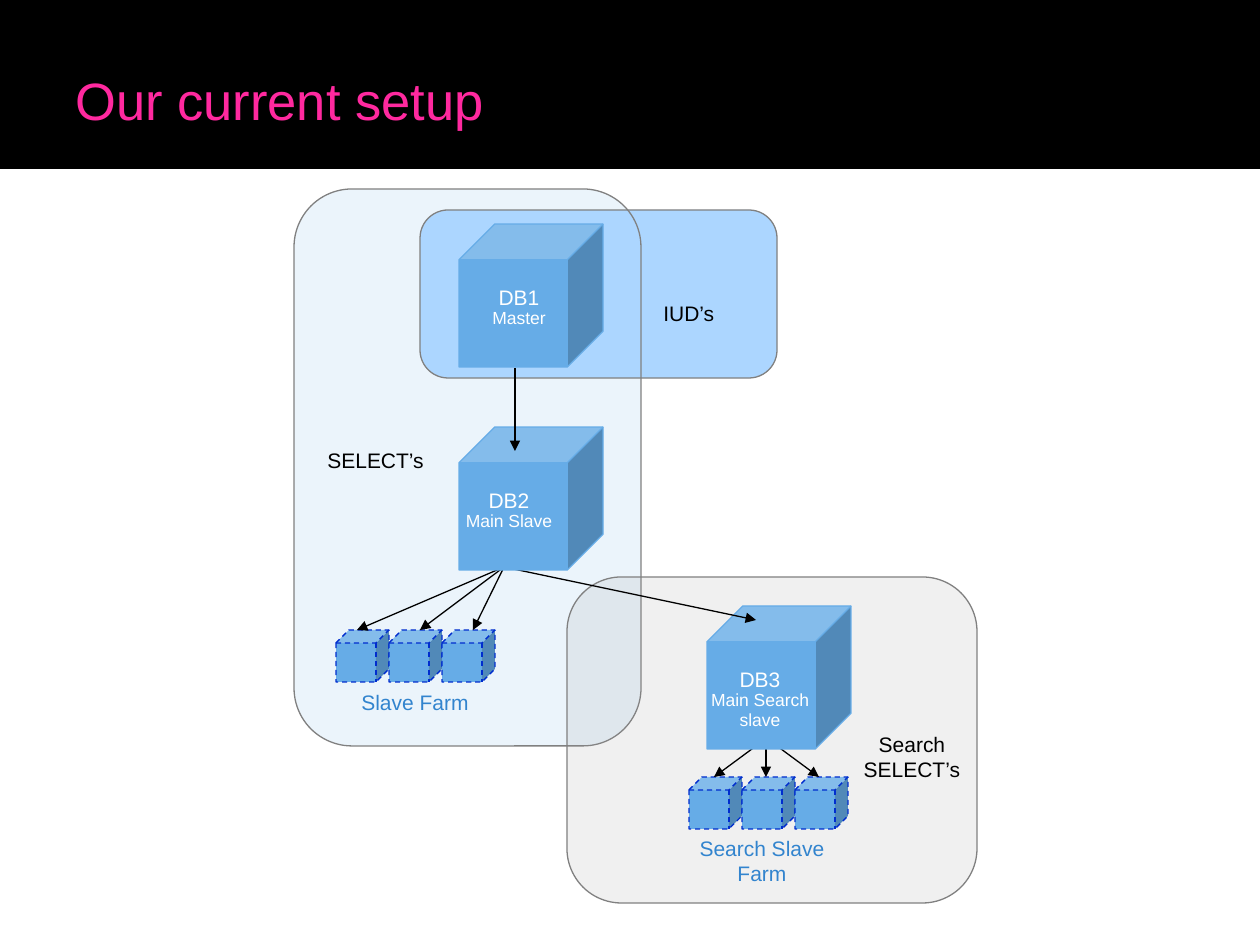
"""Build a slide showing a database replication setup."""
from lxml import etree
from pptx import Presentation
from pptx.dml.color import RGBColor
from pptx.enum.dml import MSO_LINE
from pptx.enum.shapes import MSO_CONNECTOR, MSO_SHAPE
from pptx.enum.text import MSO_ANCHOR, MSO_AUTO_SIZE, PP_ALIGN
from pptx.oxml.ns import qn
from pptx.util import Inches, Pt

RECT, ROUND, CUBE = MSO_SHAPE.RECTANGLE, MSO_SHAPE.ROUNDED_RECTANGLE, MSO_SHAPE.CUBE
STRAIGHT, DASH = MSO_CONNECTOR.STRAIGHT, MSO_LINE.DASH
LEFT, CENTER = PP_ALIGN.LEFT, PP_ALIGN.CENTER
MIDDLE, TOP = MSO_ANCHOR.MIDDLE, MSO_ANCHOR.TOP
GROW, FIXED = MSO_AUTO_SIZE.SHAPE_TO_FIT_TEXT, MSO_AUTO_SIZE.NONE

SCALE = Inches(1) / 126
FONT = "Arial"
COLORS = {
    "black": "000000", "white": "FFFFFF", "pink": "FF299F", "cube": "66ACE7",
    "dash": "002DCE", "farm": "3284CE", "writes": "ACD6FF", "gray": "999999",
    "border": "808080",
}

BAND = (0, 0, 1260, 168)
TITLE = ("Our current setup", (63, 21, 1134, 158))
SELECT_AREA = (294, 189, 347, 557)
WRITE_AREA = (420, 210, 357, 168)
SEARCH_AREA = (567, 577, 410, 326)
CUBE_SIZE = (144, 143)
MINI_SIZE, MINI_STEP, MINI_COUNT = (53, 52), 53, 3

DB1 = ((459, 224), ["DB1", "Master"], (451, 291, 136, 43))
DB2 = ((459, 427), ["DB2", "Main Slave"], (441, 494, 136, 43))
DB3 = ((707, 606), ["DB3", "Main Search", "slave"], (693, 673, 134, 62))
SLAVE_FARM = ((336, 630), "Slave Farm", (336, 683, 158, 38))
SEARCH_FARM = ((689, 777), "Search Slave Farm", (683, 829, 158, 63))
LABELS = [
    (["IUD’s"], (651, 294, 77, 38), LEFT),
    (["SELECT’s"], (315, 441, 122, 38), LEFT),
    (["Search", "SELECT’s"], (851, 725, 122, 63), CENTER),
]
DB2_FOOT = (504, 567)
SLAVE_ARROWS = [(DB2_FOOT, (x, 630)) for x in (357, 420, 473)]
SEARCH_ARROWS = [((756, 746), (714, 777)), ((766, 746), (766, 777)), ((777, 746), (819, 777))]
DB3_ARROW = (DB2_FOOT, (756, 620))
DB2_ARROW = ((515, 368), (515, 451))


def emu(values):
    return [round(v * SCALE) for v in values]


def rgb(name):
    return RGBColor.from_string(COLORS[name])


def add_box(s, kind, box, fill=None, line=None, opacity=100, adj=None, dash=None):
    sp = s.shapes.add_shape(kind, *emu(box))
    sp.shadow.inherit = False
    if adj is not None:
        sp.adjustments[0] = adj
    if fill:
        sp.fill.solid()
        sp.fill.fore_color.rgb = rgb(fill)
        if opacity < 100:
            clr = sp._element.spPr.find(qn("a:solidFill"))[0]
            etree.SubElement(clr, qn("a:alpha")).set("val", str(opacity * 1000))
    else:
        sp.fill.background()
    if line:
        sp.line.color.rgb = rgb(line)
        sp.line.width = Pt(0.75)
        if dash:
            sp.line.dash_style = dash
    else:
        sp.line.fill.background()


def add_text(s, lines, box, color, sizes=(12,), align=CENTER, wrap=True,
             anchor=TOP, fit=GROW, tight=False):
    tf = s.shapes.add_textbox(*emu(box)).text_frame
    tf.word_wrap, tf.auto_size, tf.vertical_anchor = wrap, fit, anchor
    for i, line in enumerate(lines):
        p = tf.paragraphs[0] if i == 0 else tf.add_paragraph()
        size = sizes[min(i, len(sizes) - 1)]
        p.text, p.alignment = line, align
        p.font.name, p.font.size, p.font.color.rgb = FONT, Pt(size), rgb(color)
        if tight:
            p.line_spacing = 0.4
            p.space_before = Pt(round(size * 0.625, 1))


def add_database(s, corner, lines, text_box):
    add_box(s, CUBE, corner + CUBE_SIZE, "cube", "cube", adj=0.25)
    add_text(s, lines, text_box, "white", sizes=(12, 10), tight=True)


def add_farm(s, corner, name, text_box):
    x, y = corner
    for i in range(MINI_COUNT):
        add_box(s, CUBE, (x + i * MINI_STEP, y) + MINI_SIZE, "cube", "dash", adj=0.25, dash=DASH)
    add_text(s, [name], text_box, "farm")


def add_arrow(s, start, end):
    c = s.shapes.add_connector(STRAIGHT, *emu(start + end))
    c.line.color.rgb = rgb("black")
    c.line.width = Pt(0.75)
    etree.SubElement(c.line._get_or_add_ln(), qn("a:tailEnd")).set("type", "triangle")
    etree.SubElement(c._element.spPr, qn("a:effectLst"))


def main():
    prs = Presentation()
    prs.slide_width, prs.slide_height = Inches(10), Inches(7.5)
    s = prs.slides.add_slide(prs.slide_layouts[6])

    add_box(s, RECT, BAND, "black", "black")
    add_box(s, ROUND, SELECT_AREA, "cube", opacity=13, adj=0.167)
    add_text(s, [TITLE[0]], TITLE[1], "pink", (30,), LEFT, anchor=MIDDLE, fit=FIXED)
    add_farm(s, *SLAVE_FARM)
    add_box(s, ROUND, WRITE_AREA, "writes", "border", adj=0.167)
    add_database(s, *DB1)
    add_box(s, ROUND, SELECT_AREA, line="border", adj=0.167)
    for arrow in SLAVE_ARROWS:
        add_arrow(s, *arrow)
    add_box(s, ROUND, SEARCH_AREA, "gray", "border", opacity=14, adj=0.167)
    add_farm(s, *SEARCH_FARM)
    for lines, box, align in LABELS:
        add_text(s, lines, box, "black", align=align, wrap=False)
    for arrow in SEARCH_ARROWS:
        add_arrow(s, *arrow)
    add_database(s, *DB3)
    add_arrow(s, *DB3_ARROW)
    add_database(s, *DB2)
    add_arrow(s, *DB2_ARROW)

    prs.save("out.pptx")


if __name__ == "__main__":
    main()
